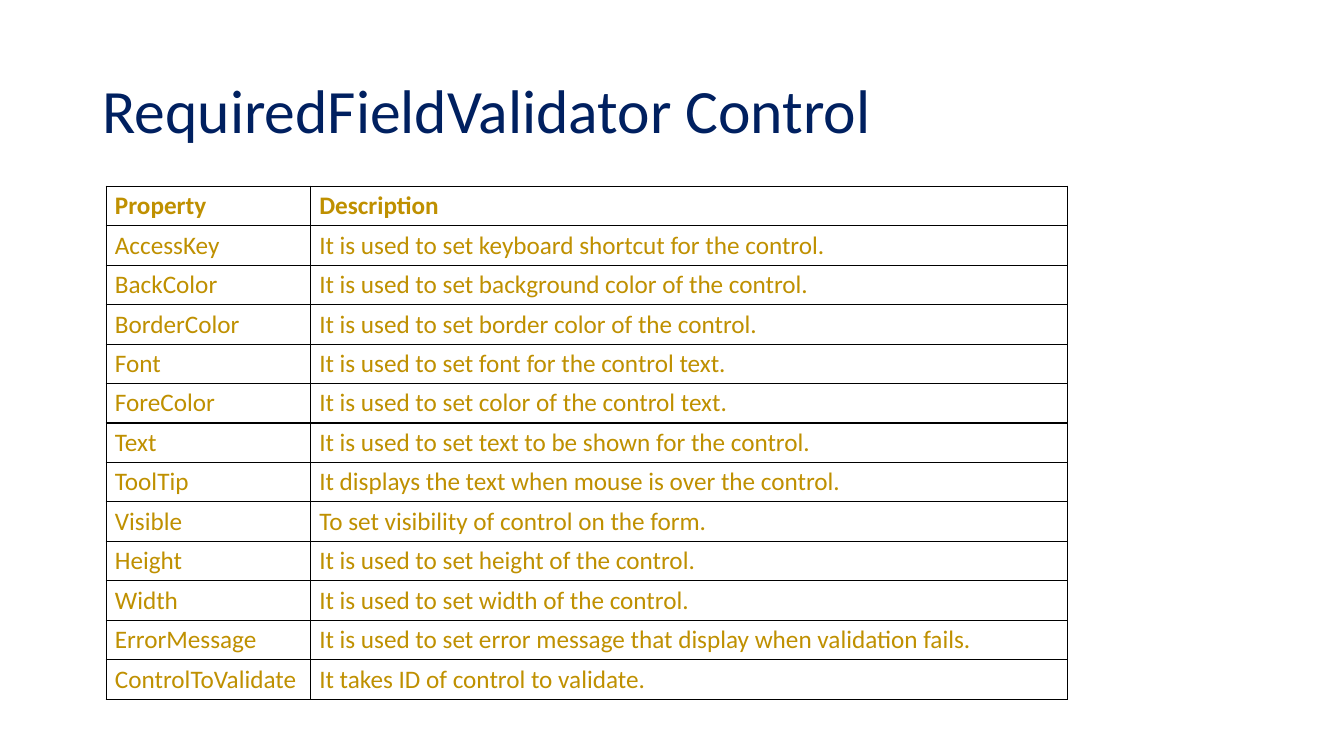
from pptx import Presentation
from pptx.dml.color import RGBColor
from pptx.enum.text import MSO_ANCHOR, MSO_AUTO_SIZE, PP_ALIGN
from pptx.oxml import parse_xml
from pptx.oxml.ns import nsdecls
from pptx.util import Pt

MIDDLE = MSO_ANCHOR.MIDDLE
NO_FIT = MSO_AUTO_SIZE.NONE
LEFT = PP_ALIGN.LEFT
TITLE_ONLY = 5

COLORS = {"title": "002060", "text": "BF9000", "border": "000000"}

PROPERTIES = [
    ("Property", "Description"),
    ("AccessKey", "It is used to set keyboard shortcut for the control."),
    ("BackColor", "It is used to set background color of the control."),
    ("BorderColor", "It is used to set border color of the control."),
    ("Font", "It is used to set font for the control text."),
    ("ForeColor", "It is used to set color of the control text."),
    ("Text", "It is used to set text to be shown for the control."),
    ("ToolTip", "It displays the text when mouse is over the control."),
    ("Visible", "To set visibility of control on the form."),
    ("Height", "It is used to set height of the control."),
    ("Width", "It is used to set width of the control."),
    ("ErrorMessage", "It is used to set error message that display when validation fails."),
    ("ControlToValidate", "It takes ID of control to validate."),
]


class SlideBuilder:
    font = "Calibri"
    title_size = 44
    cell_size = 18
    row_height = 28.2
    margin_x = 6.2
    margin_y = 3.1
    border_width = 1

    def __init__(self, prs):
        self.slide = prs.slides.add_slide(prs.slide_layouts[TITLE_ONLY])

    def style(self, p, size, color, bold=False):
        p.alignment = LEFT
        p.font.name = self.font
        p.font.size = Pt(size)
        p.font.bold = bold
        p.font.color.rgb = RGBColor.from_string(COLORS[color])

    def title(self, text, left, top, width, height):
        sp = self.slide.shapes.title
        sp.left, sp.top, sp.width, sp.height = Pt(left), Pt(top), Pt(width), Pt(height)
        tf = sp.text_frame
        tf.text = text
        tf.word_wrap = True
        tf.auto_size = NO_FIT
        tf.vertical_anchor = MIDDLE
        p = tf.paragraphs[0]
        p.line_spacing = 0.9
        self.style(p, self.title_size, "title")

    def borders(self, cell):
        tcPr = cell._tc.get_or_add_tcPr()
        for side in "LRTB":
            tcPr.append(parse_xml(
                f'<a:ln{side} {nsdecls("a")} w="{Pt(self.border_width)}"><a:solidFill>'
                f'<a:srgbClr val="{COLORS["border"]}"/></a:solidFill></a:ln{side}>'))

    def cell(self, cell, text, bold):
        self.borders(cell)
        cell.fill.background()
        cell.vertical_anchor = MIDDLE
        cell.margin_left = cell.margin_right = Pt(self.margin_x)
        cell.margin_top = cell.margin_bottom = Pt(self.margin_y)
        cell.text = text
        self.style(cell.text_frame.paragraphs[0], self.cell_size, "text", bold)

    def table(self, rows, left, top, widths):
        table = self.slide.shapes.add_table(
            len(rows), len(widths), Pt(left), Pt(top),
            Pt(sum(widths)), Pt(self.row_height * len(rows))).table
        table.first_row = False
        table.horz_banding = False
        for column, width in zip(table.columns, widths):
            column.width = Pt(width)
        for i, row in enumerate(rows):
            table.rows[i].height = Pt(self.row_height)
            for j, text in enumerate(row):
                self.cell(table.cell(i, j), text, bold=i == 0)


def main():
    prs = Presentation()
    prs.slide_width, prs.slide_height = Pt(960), Pt(540)
    s = SlideBuilder(prs)
    s.title("RequiredFieldValidator Control", 66, 28.8, 828, 104.4)
    s.table(PROPERTIES, 75.9, 133.1, [146, 540.7])
    prs.save("out.pptx")


if __name__ == "__main__":
    main()
